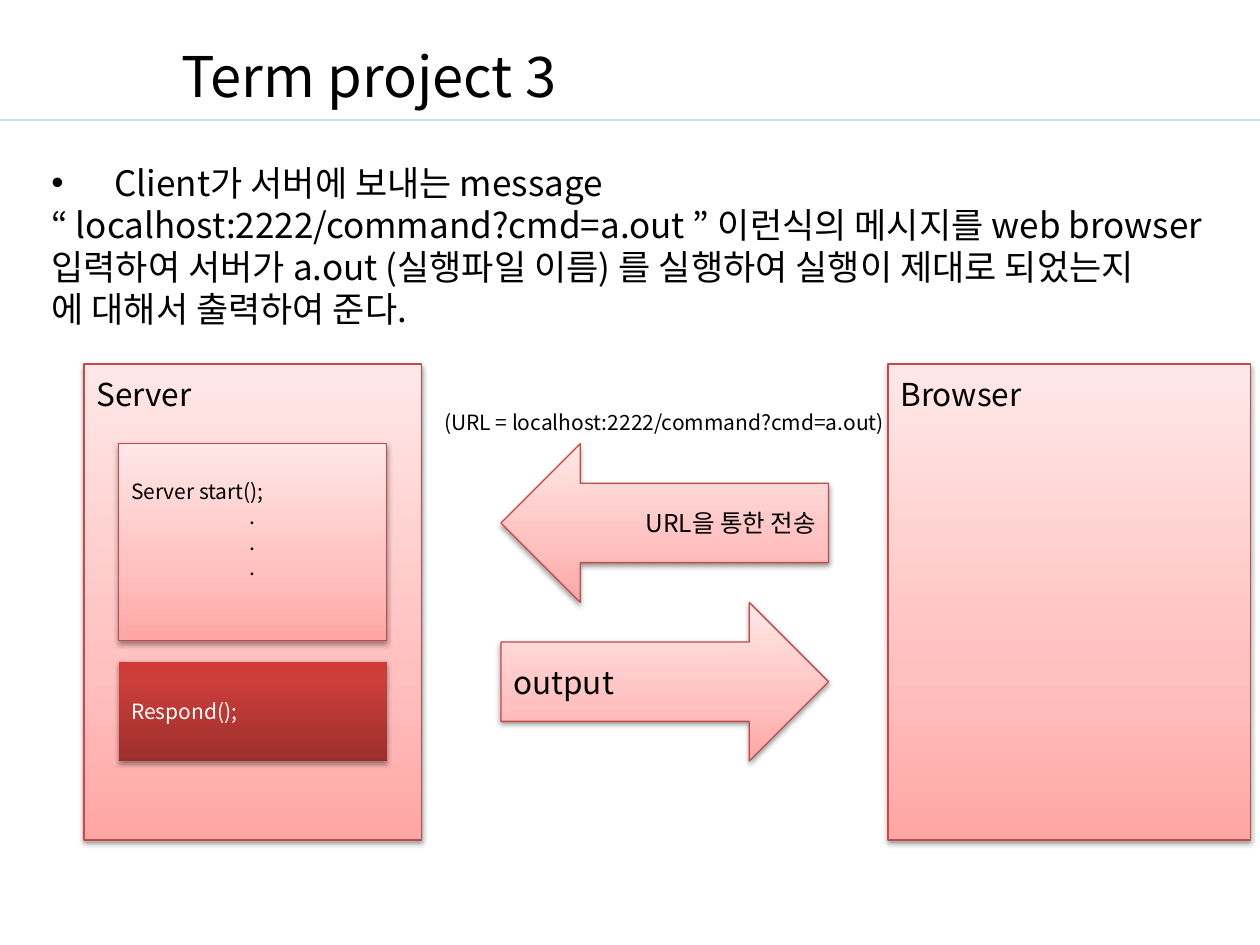
from lxml import etree
from pptx import Presentation
from pptx import util as u
from pptx.dml import color
from pptx.enum import shapes, text
from pptx.oxml import ns

PINK = {0: "FFA6A5", 35: "FFC0BF", 100: "FFE7E7"}
RED = {0: "9C2F2D", 80: "CB3E3A", 100: "CE3B37"}
PINK_EDGE = "BF4C48"
MIDDLE = text.MSO_ANCHOR.MIDDLE
TOP = text.MSO_ANCHOR.TOP
BOTTOM = text.MSO_ANCHOR.BOTTOM
LEFT = text.PP_ALIGN.LEFT
CENTER = text.PP_ALIGN.CENTER
RIGHT = text.PP_ALIGN.RIGHT


def rgb(value):
    return color.RGBColor.from_string(value)


def add_node(parent, tag, **values):
    attributes = {name: str(value) for name, value in values.items()}
    return etree.SubElement(parent, ns.qn(tag), attributes)


def set_values(target, values):
    for name, value in values.items():
        setattr(target, name, value)


class SlideBuilder:
    font = "Noto Sans CJK KR"

    def __init__(self, slide):
        self.slide = slide

    def add_lines(self, box, lines, size, ink="000000", align=LEFT, anchor=TOP, inset=3.6):
        frame = box.text_frame
        set_values(frame, {"word_wrap": True, "vertical_anchor": anchor,
                           "margin_top": u.Pt(inset)})
        for index, line in enumerate(lines):
            para = frame.paragraphs[0] if index == 0 else frame.add_paragraph()
            para.alignment = align
            span = para.add_run()
            span.text = line
            set_values(span.font, {"name": self.font, "size": u.Pt(size)})
            span.font.color.rgb = rgb(ink)
            add_node(span.font._element, "a:ea", typeface=self.font)
        return frame.paragraphs

    def text_box(self, place, lines, size, **options):
        box = self.slide.shapes.add_textbox(*map(u.Pt, place))
        return self.add_lines(box, lines, size, **options)

    def rule(self, start, end, ink, width, opacity):
        points = map(u.Pt, (*start, *end))
        line = self.slide.shapes.add_connector(shapes.MSO_CONNECTOR.STRAIGHT, *points)
        line.line.color.rgb = rgb(ink)
        line.line.width = u.Pt(width)
        fill = line._element.spPr.find(ns.qn("a:ln")).find(ns.qn("a:solidFill"))
        add_node(fill[0], "a:alpha", val=opacity * 1000)
        add_node(line._element.spPr, "a:effectLst")

    def block(self, kind, place, lines, size, stops=PINK, edge=PINK_EDGE, **options):
        box = self.slide.shapes.add_shape(kind, *map(u.Pt, place))
        properties = box._element.spPr
        gradient = add_node(properties, "a:gradFill", rotWithShape=1)
        stop_list = add_node(gradient, "a:gsLst")
        for position, value in stops.items():
            stop = add_node(stop_list, "a:gs", pos=position * 1000)
            add_node(stop, "a:srgbClr", val=value)
        add_node(gradient, "a:lin", ang=270 * 60000, scaled=0)
        if edge:
            box.line.color.rgb = rgb(edge)
            box.line.width = u.Pt(0.75)
        else:
            box.line.fill.background()
        self.shade(box)
        return self.add_lines(box, lines, size, **options)

    def shade(self, box):
        box.shadow.inherit = False
        effects = box._element.spPr.find(ns.qn("a:effectLst"))
        shadow = add_node(effects, "a:outerShdw", blurRad=u.Pt(3.1), dist=u.Pt(1.6),
                          dir=90 * 60000, rotWithShape=0)
        add_node(add_node(shadow, "a:srgbClr", val="000000"), "a:alpha", val=38000)

    def hang(self, paras, indent):
        for para in paras:
            properties = para._p.get_or_add_pPr()
            properties.set("marL", str(u.Pt(indent)))
            properties.set("indent", str(-u.Pt(indent)))
        first = paras[0]._p.get_or_add_pPr()
        add_node(first, "a:buFont", typeface="Arial")
        add_node(first, "a:buChar", char="•")


def main():
    deck = Presentation()
    set_values(deck, {"slide_width": u.Pt(720), "slide_height": u.Pt(540)})
    page = SlideBuilder(deck.slides.add_slide(deck.slide_layouts[6]))
    kinds = shapes.MSO_SHAPE

    page.rule((0, 68.6), (720, 68.6), "95B3D7", 0.75, 70)
    page.text_box((96.5, -8, 615, 73.5), ["Term project 3"], 32, anchor=BOTTOM)
    body = page.text_box((22.3, 88.5, 697.7, 113), [
        "Client가 서버에 보내는 message",
        "“ localhost:2222/command?cmd=a.out ” 이런식의 메시지를 web browser",
        "입력하여 서버가 a.out (실행파일 이름) 를 실행하여 실행이 제대로 되었는지",
        "에 대해서 출력하여 준다.",
    ], 20)
    page.hang(body, 36)

    for left, width, name in ((48, 193, "Server"), (507.4, 207, "Browser")):
        page.block(kinds.RECTANGLE, (left, 208, width, 272), [name], 18, inset=6.4)

    arrow_left, arrow_top, arrow_width, arrow_height = 286.3, 253.5, 187.2, 90.7
    arrows = (
        (kinds.LEFT_ARROW, "URL을 통한 전송", 14, RIGHT),
        (kinds.RIGHT_ARROW, "output", 18, LEFT),
    )
    for row, (kind, label, size, align) in enumerate(arrows):
        place = (arrow_left, arrow_top + row * arrow_height, arrow_width, arrow_height)
        page.block(kind, place, [label], size, align=align, anchor=MIDDLE)

    steps = page.block(kinds.RECTANGLE, (67.8, arrow_top, 153.3, 112.5),
                       ["Server start();", ".", ".", "."], 12, align=CENTER, inset=20)
    steps[0].alignment = LEFT
    page.block(kinds.RECTANGLE, (67.8, 378, 153.3, 56.9), ["Respond();"], 12,
               stops=RED, edge=None, ink="FFFFFF", anchor=MIDDLE)
    page.text_box((246.7, 230.4, 272.2, 21.8),
                  ["(URL = localhost:2222/command?cmd=a.out)"], 12)

    deck.save("out.pptx")


if __name__ == "__main__":
    main()
